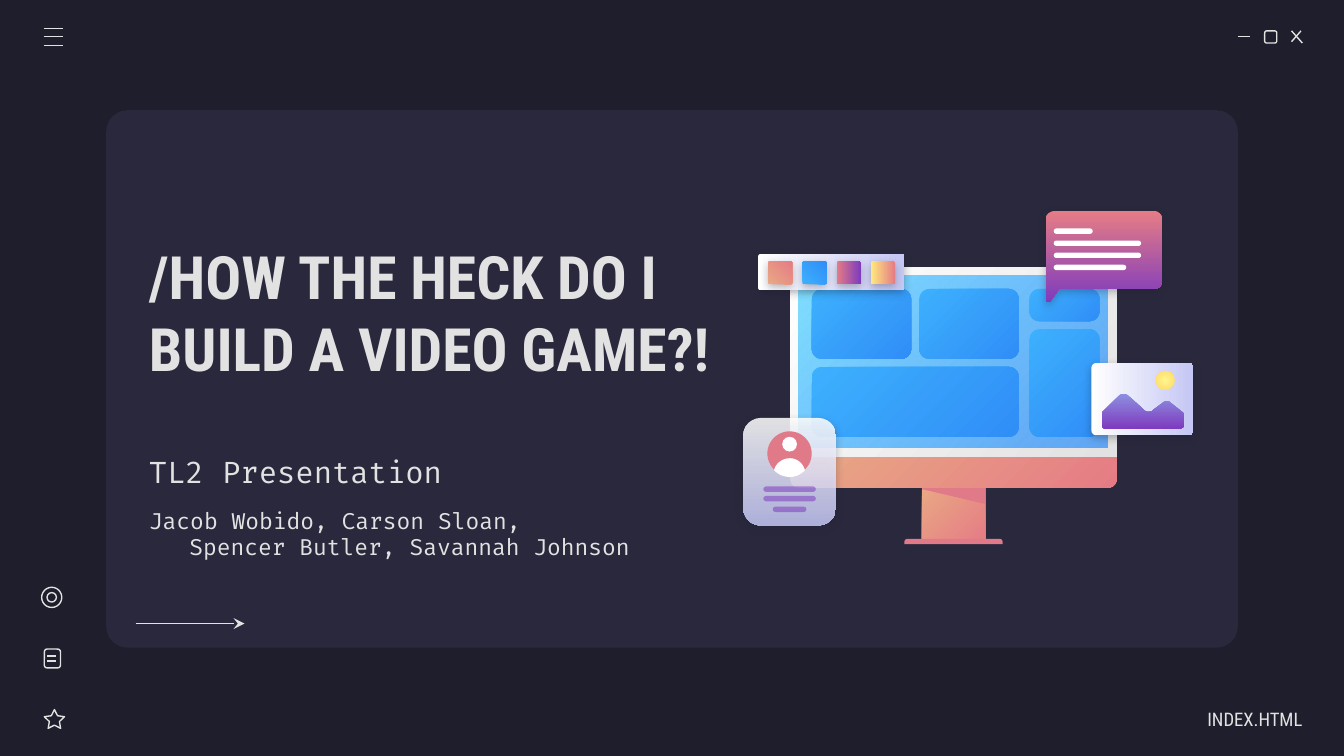
from dataclasses import dataclass
from lxml.etree import SubElement
from pptx import Presentation
from pptx.dml.color import RGBColor
from pptx.enum.shapes import MSO_CONNECTOR, MSO_SHAPE
from pptx.enum.text import MSO_ANCHOR, PP_ALIGN
from pptx.oxml.ns import qn
from pptx.util import Inches, Pt


@dataclass(frozen=True)
class Paint:
    """A solid colour, or a gradient when end is given; the angle runs clockwise."""
    start: str
    end: str = ""
    angle: int = 0
    alphas: tuple = (100, 100)
    radial: bool = False


@dataclass(frozen=True)
class Theme:
    background: str = "1E1E2C"
    light: str = "E2E2E2"
    panel: Paint = Paint("29283D")
    white: Paint = Paint("FFFFFF")
    rose: Paint = Paint("E07A88")
    peach: Paint = Paint("E9A984", "E57C85", 45)
    frame: Paint = Paint("FFFFFF", "E2E2E2", 45)
    screen: Paint = Paint("80DFFF", "318FFA", 45, (100, 72))
    blue: Paint = Paint("3DB0FD", "308EF7", 45)
    sunset: Paint = Paint("E57C85", "7E3BBE", 90)
    honey: Paint = Paint("FFEA7D", "E57C85", 90)
    paper: Paint = Paint("FFFFFF", "C5C7F4", 90)
    glass: Paint = Paint("FFFFFF", "C5C7F4", 90, (86, 86))
    mountain: Paint = Paint("8D90E1", "7E3BBE", 90)
    sun: Paint = Paint("FFF68E", "FFD966", radial=True)
    violet: Paint = Paint("7E3BBE", alphas=(54,))
    heading: str = "Roboto Condensed"
    body: str = "Fira Code"
    title_size: int = 32
    subtitle_size: int = 16
    names_size: int = 12
    footer_size: int = 10
    stroke: float = 0.75


class Painter:
    def __init__(self, slide, theme):
        self.slide, self.theme = slide, theme
        slide.background.fill.solid()
        slide.background.fill.fore_color.rgb = RGBColor.from_string(theme.background)

    def finish(self, shape, paint, shadow=False):
        """Apply fill, outline and shadow; a shape without paint gets an outline."""
        properties = shape._element.spPr
        if paint is None:
            shape.fill.background()
            shape.line.color.rgb = RGBColor.from_string(self.theme.light)
            shape.line.width = Pt(self.theme.stroke)
        else:
            shape.line.fill.background()
            if paint.end:
                shape.fill.gradient()
                shape.fill.gradient_angle = -paint.angle % 360
                for stop, color in zip(shape.fill.gradient_stops, (paint.start, paint.end)):
                    stop.color.rgb = RGBColor.from_string(color)
            else:
                shape.fill.solid()
                shape.fill.fore_color.rgb = RGBColor.from_string(paint.start)
            for color, alpha in zip(list(properties.iter(qn("a:srgbClr"))), paint.alphas):
                if alpha < 100:
                    SubElement(color, qn("a:alpha"), val=str(alpha * 1000))
            if paint.radial:
                gradient = properties.find(qn("a:gradFill"))
                gradient.remove(gradient.find(qn("a:lin")))
                circle = SubElement(gradient, qn("a:path"), {"path": "circle"})
                SubElement(circle, qn("a:fillToRect"), dict.fromkeys("ltrb", "50000"))
        shape.shadow.inherit = False
        if shadow:
            effect = SubElement(properties.find(qn("a:effectLst")), qn("a:outerShdw"),
                                blurRad=str(Pt(4.5)), dist=str(Pt(1.5)), dir="5400000",
                                algn="bl", rotWithShape="0")
            color = SubElement(effect, qn("a:srgbClr"), val=self.theme.background)
            SubElement(color, qn("a:alpha"), val="30000")

    def shape(self, kind, box, paint=None, adjust=(), rotation=0, shadow=False):
        shape = self.slide.shapes.add_shape(kind, *map(Inches, box))
        for index, value in enumerate(adjust):
            shape.adjustments[index] = value
        shape.rotation = rotation
        self.finish(shape, paint, shadow)

    def rounded(self, box, paint=None, radius=0.5, **options):
        self.shape(MSO_SHAPE.ROUNDED_RECTANGLE, box, paint, (radius,), **options)

    def outline(self, start, steps, paint, shadow=False):
        """Closed outline; a step is a line's end or a curve's two controls and end."""
        points = [start]
        for step in steps:
            if len(step) == 2:
                points.append(step)
                continue
            x0, y0 = points[-1]
            x1, y1, x2, y2, x3, y3 = step
            for i in range(1, 9):
                t = i / 8
                u = 1 - t
                points.append(tuple(
                    u**3 * a + 3 * u * u * t * b + 3 * u * t * t * c + t**3 * d
                    for a, b, c, d in ((x0, x1, x2, x3), (y0, y1, y2, y3))))
        corners = [(Inches(x), Inches(y)) for x, y in points]
        builder = self.slide.shapes.build_freeform(*corners[0])
        builder.add_line_segments(corners[1:], close=True)
        self.finish(builder.convert_to_shape(), paint, shadow)

    def line(self, x1, y1, x2, y2, arrow=False):
        line = self.slide.shapes.add_connector(
            MSO_CONNECTOR.STRAIGHT, *map(Inches, (x1, y1, x2, y2)))
        line.line.color.rgb = RGBColor.from_string(self.theme.light)
        line.line.width = Pt(self.theme.stroke)
        if arrow:
            SubElement(line.line._get_or_add_ln(), qn("a:tailEnd"), type="stealth")
        SubElement(line._element.spPr, qn("a:effectLst"))

    def text(self, box, lines, font, size, bold=False, align=PP_ALIGN.LEFT,
             right_inset=0.1, indents=(0, 0)):
        frame = self.slide.shapes.add_textbox(*map(Inches, box)).text_frame
        frame.word_wrap = True
        frame.vertical_anchor = MSO_ANCHOR.MIDDLE
        frame.margin_left = frame.margin_top = frame.margin_bottom = Inches(0.1)
        frame.margin_right = Inches(right_inset)
        frame.text = "\n".join(lines)
        for paragraph, indent in zip(frame.paragraphs, indents):
            paragraph.alignment = align
            paragraph.font.name, paragraph.font.size = font, Pt(size)
            paragraph.font.bold = bold
            paragraph.font.color.rgb = RGBColor.from_string(self.theme.light)
            if indent:
                paragraph._p.get_or_add_pPr().set("marL", str(Inches(indent)))


def draw_window(p, t):
    p.rounded((0.79, 0.82, 8.42, 4), t.panel, 0.04)
    p.line(9.21, 0.27, 9.3, 0.27)
    p.rounded((9.41, 0.23, 0.09, 0.09), radius=0.17)
    p.line(9.61, 0.23, 9.69, 0.32)
    p.line(9.68, 0.23, 9.61, 0.31)
    for y in (0.21, 0.27, 0.34):
        p.line(0.33, y, 0.47, y)


def draw_texts(p, t):
    p.text((1.01, 3.28, 3.24, 0.46), ["TL2 Presentation"], t.body, t.subtitle_size)
    p.text((1.01, 1.44, 4.47, 1.76), ["/HOW THE HECK DO I BUILD A VIDEO GAME?!"],
           t.heading, t.title_size, bold=True)
    p.text((8.52, 5.2, 1.17, 0.3), ["INDEX.HTML"], t.heading, t.footer_size,
           align=PP_ALIGN.RIGHT, right_inset=0)
    p.text((1.01, 3.74, 3.99, 0.46),
           ["Jacob Wobido, Carson Sloan,", "Spencer Butler, Savannah Johnson"],
           t.body, t.names_size, indents=(0, 0.3))
    p.line(1.01, 4.64, 1.82, 4.64, arrow=True)


def draw_monitor(p, t):
    half_rounded = MSO_SHAPE.ROUND_2_SAME_RECTANGLE
    p.shape(MSO_SHAPE.RECTANGLE, (6.86, 3.61, 0.47, 0.43), t.peach)
    p.shape(half_rounded, (6.73, 4.01, 0.73, 0.04), t.rose, (0.5, 0))
    p.outline((6.86, 3.61), [(6.86, 3.64), (7.33, 3.75), (7.33, 3.61)], t.rose)
    p.shape(half_rounded, (5.88, 3.39, 2.43, 0.24), t.peach, (0, 0.27))
    p.shape(half_rounded, (5.88, 1.99, 2.43, 1.41), t.frame, (0.04, 0))
    p.shape(MSO_SHAPE.RECTANGLE, (5.94, 2.05, 2.3, 1.28), t.screen)
    for x, y, width, height in ((6.04, 2.15, 0.74, 0.52), (6.04, 2.73, 1.54, 0.52),
                                (6.84, 2.15, 0.74, 0.52), (7.66, 2.15, 0.52, 0.24),
                                (7.66, 2.45, 0.52, 0.8)):
        p.rounded((x, y, width, height), t.blue, 0.075 / min(width, height))


def draw_chat_bubble(p, t):
    p.outline((7.85, 1.57), [
        (7.81, 1.57, 7.78, 1.6, 7.78, 1.64), (7.78, 2.24),
        (7.78, 2.25, 7.79, 2.25, 7.8, 2.25), (7.8, 2.25, 7.81, 2.25, 7.81, 2.25),
        (7.88, 2.15), (8.59, 2.15), (8.62, 2.15, 8.65, 2.12, 8.65, 2.09),
        (8.65, 1.64), (8.65, 1.6, 8.62, 1.57, 8.59, 1.57)], t.sunset, shadow=True)
    for row, width in enumerate((0.29, 0.65, 0.65, 0.54)):
        p.rounded((7.84, 1.7 + row * 0.09, width, 0.04), t.white)


def draw_profile_card(p, t):
    p.rounded((5.53, 3.11, 0.69, 0.8), t.glass, 0.19, shadow=True)
    p.shape(MSO_SHAPE.OVAL, (5.71, 3.21, 0.33, 0.33), t.rose)
    p.shape(MSO_SHAPE.OVAL, (5.82, 3.25, 0.11, 0.11), t.white)
    p.outline((5.88, 3.41), [
        (5.82, 3.41, 5.77, 3.45, 5.76, 3.5), (5.79, 3.53, 5.83, 3.55, 5.88, 3.55),
        (5.92, 3.55, 5.96, 3.53, 5.99, 3.5), (5.98, 3.45, 5.93, 3.41, 5.88, 3.41)], t.white)
    for x, y, width in ((5.68, 3.62, 0.39), (5.68, 3.69, 0.39), (5.75, 3.77, 0.25)):
        p.rounded((x, y, width, 0.04), t.violet)


def draw_landscape_card(p, t):
    p.rounded((8.23, 2.59, 0.54, 0.76), t.paper, 0.07, rotation=270, shadow=True)
    p.outline((8.36, 2.93), [
        (8.35, 2.93, 8.34, 2.93, 8.33, 2.94), (8.21, 3.06),
        (8.2, 3.07, 8.2, 3.07, 8.2, 3.08), (8.2, 3.16),
        (8.2, 3.18, 8.21, 3.19, 8.23, 3.19), (8.77, 3.19),
        (8.79, 3.19, 8.81, 3.18, 8.81, 3.16), (8.81, 3.09),
        (8.81, 3.08, 8.8, 3.07, 8.8, 3.07), (8.7, 2.99),
        (8.68, 2.98, 8.66, 2.99, 8.65, 3), (8.57, 3.06),
        (8.55, 3.07, 8.53, 3.07, 8.51, 3.05), (8.39, 2.94),
        (8.38, 2.93, 8.37, 2.93, 8.36, 2.93)], t.mountain)
    p.shape(MSO_SHAPE.OVAL, (8.6, 2.76, 0.14, 0.14), t.sun)


def draw_palette(p, t):
    p.rounded((6.05, 1.48, 0.27, 1.09), t.paper, 0.07, rotation=270, shadow=True)
    for column, swatch in enumerate((t.peach, t.blue, t.sunset, t.honey)):
        p.rounded((5.72 + column * 0.255, 1.94, 0.17, 0.18), swatch, 0.07,
                  rotation=270, shadow=True)


def draw_side_icons(p):
    p.shape(MSO_SHAPE.STAR_5_POINT, (0.33, 5.28, 0.15, 0.14), adjust=(0.25,))
    p.rounded((0.33, 4.83, 0.12, 0.14), radius=0.17)
    for y in (4.88, 4.92):
        p.line(0.35, y, 0.42, y)
    for inset in (0, 0.04):
        size = 0.15 - 2 * inset
        p.shape(MSO_SHAPE.OVAL, (0.31 + inset, 4.37 + inset, size, size))


def main():
    deck = Presentation()
    deck.slide_width = Inches(10)
    deck.slide_height = deck.slide_width * 9 // 16
    theme = Theme()
    painter = Painter(deck.slides.add_slide(deck.slide_layouts[6]), theme)
    for draw in (draw_window, draw_texts, draw_monitor, draw_chat_bubble,
                 draw_profile_card, draw_landscape_card, draw_palette):
        draw(painter, theme)
    draw_side_icons(painter)
    deck.save("out.pptx")


if __name__ == "__main__":
    main()
